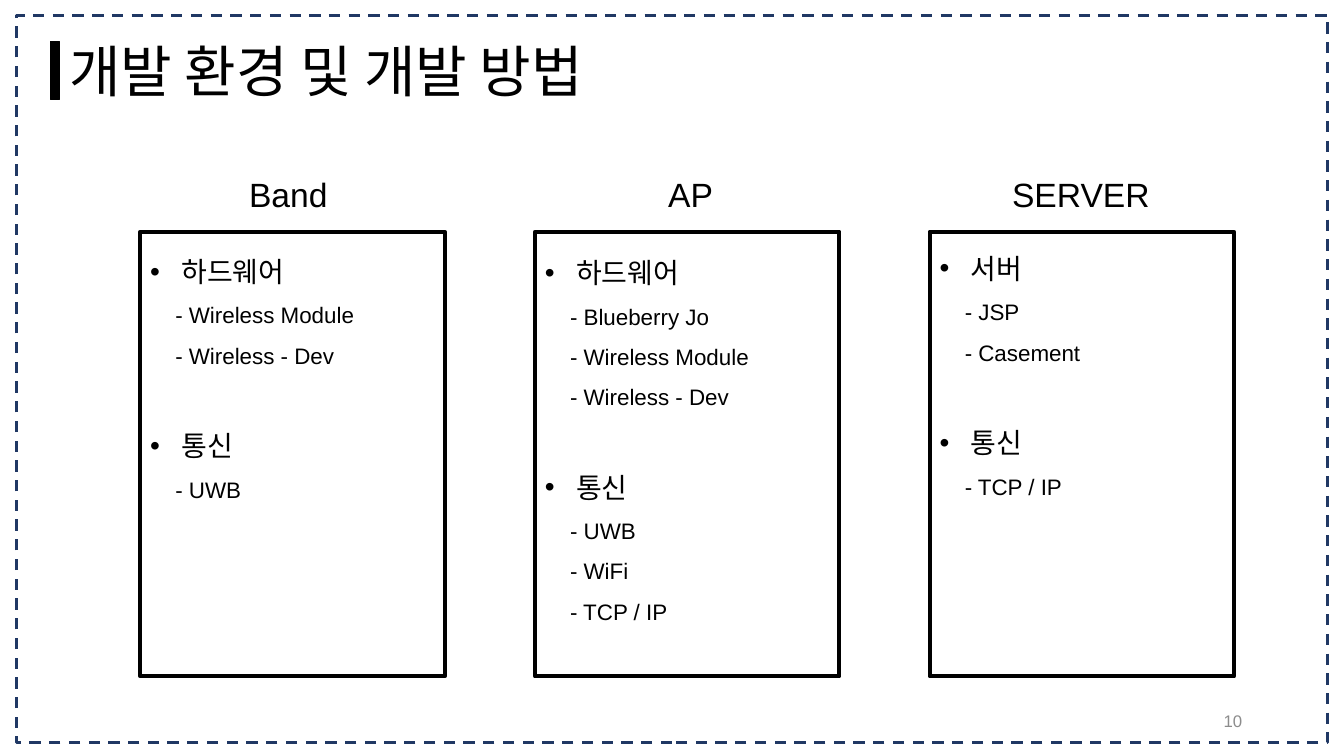
"""Build the slide on development environment and methods."""
from pptx import Presentation
from pptx.dml.color import RGBColor
from pptx.enum.dml import MSO_LINE
from pptx.enum.shapes import MSO_SHAPE as SHAPE
from pptx.enum.text import MSO_ANCHOR as ANCHOR, PP_ALIGN as ALIGN
from pptx.oxml import parse_xml
from pptx.oxml.ns import nsdecls
from pptx.util import Inches, Pt

TITLE = "개발 환경 및 개발 방법"
PAGE = "10"
COLUMNS = [
    {"head": "Band", "head_mid": 2.86, "head_w": 1.23, "top": 2.31, "h": 2.78,
     "groups": [("하드웨어", ["Wireless Module", "Wireless - Dev"]),
                ("통신", ["UWB"])]},
    {"head": "AP", "head_mid": 6.85, "head_w": 0.73, "top": 2.32, "h": 3.99,
     "groups": [("하드웨어", ["Blueberry Jo", "Wireless Module", "Wireless - Dev"]),
                ("통신", ["UWB", "WiFi", "TCP / IP"])]},
    {"head": "SERVER", "head_mid": 10.72, "head_w": 1.78, "top": 2.28, "h": 2.78,
     "groups": [("서버", ["JSP", "Casement"]),
                ("통신", ["TCP / IP"])]},
]
BLACK, NAVY, GRAY = "000000", "203864", "8C8C8C"
W, H = 13.33, 7.5
BOX_W, BOX_H, BOX_TOP = 3.02, 4.41, 2.3
BOX_LEFT, BOX_STEP = 1.39, 3.915
HEAD_TOP, HEAD_H = 1.68, 0.5
BULLET_INDENT, ITEM_INDENT = 0.31, 0.25
GROUP_GAP = 31


def color(value):
    return RGBColor.from_string(value)


def add_rect(s, box, line, width, fill=None):
    sp = s.shapes.add_shape(SHAPE.RECTANGLE, *map(Inches, box))
    sp.shadow.inherit = False
    if fill:
        sp.fill.solid()
        sp.fill.fore_color.rgb = color(fill)
    else:
        sp.fill.background()
    sp.line.color.rgb = color(line)
    sp.line.width = Pt(width)
    return sp


def add_frame(s, box):
    tf = s.shapes.add_textbox(*map(Inches, box)).text_frame
    tf.word_wrap = True
    return tf


def write(p, text, size, rgb=BLACK, **layout):
    for name, value in layout.items():
        setattr(p, name, value)
    r = p.add_run()
    r.text = text
    for name, value in {"size": Pt(size), "name": "Arial"}.items():
        setattr(r.font, name, value)
    r.font.color.rgb = color(rgb)


def indent(p, left, bullet=None):
    pPr = p._p.get_or_add_pPr()
    pPr.set("marL", str(Inches(left)))
    if bullet:
        pPr.set("indent", str(-Inches(left)))
        pPr.append(parse_xml(f'<a:buFont {nsdecls("a")} typeface="Arial"/>'))
        pPr.append(parse_xml(f'<a:buChar {nsdecls("a")} char="{bullet}"/>'))


def add_groups(tf, groups):
    p = tf.paragraphs[0]
    for i, (name, items) in enumerate(groups):
        if i:
            p = tf.add_paragraph()
        write(p, name, 20, line_spacing=1.5, space_before=Pt(GROUP_GAP if i else 0))
        indent(p, BULLET_INDENT, "•")
        for item in items:
            p = tf.add_paragraph()
            write(p, f"- {item}", 16, line_spacing=1.5)
            indent(p, ITEM_INDENT)


def main():
    prs = Presentation()
    prs.slide_width, prs.slide_height = Inches(W), Inches(H)
    s = prs.slides.add_slide(prs.slide_layouts[6])

    add_rect(s, (0.5, 0.41, 0.09, 0.58), BLACK, 1, BLACK)
    write(add_frame(s, (0.59, 0.31, 6.01, 0.77)).paragraphs[0], TITLE, 40)

    for i, col in enumerate(COLUMNS):
        left = BOX_LEFT + i * BOX_STEP
        add_rect(s, (left, BOX_TOP, BOX_W, BOX_H), BLACK, 3)
        head_left = col["head_mid"] - col["head_w"] / 2
        tf = add_frame(s, (head_left, HEAD_TOP, col["head_w"], HEAD_H))
        write(tf.paragraphs[0], col["head"], 24, alignment=ALIGN.CENTER)
        add_groups(add_frame(s, (left, col["top"], BOX_W, col["h"])), col["groups"])

    tf = add_frame(s, (9.42, 6.95, 3, 0.4))
    tf.vertical_anchor = ANCHOR.MIDDLE
    write(tf.paragraphs[0], PAGE, 12, GRAY, alignment=ALIGN.RIGHT)

    border = add_rect(s, (0.16, 0.15, 13.01, 7.22), NAVY, 2)
    border.line.dash_style = MSO_LINE.DASH
    prs.save("out.pptx")


if __name__ == "__main__":
    main()
